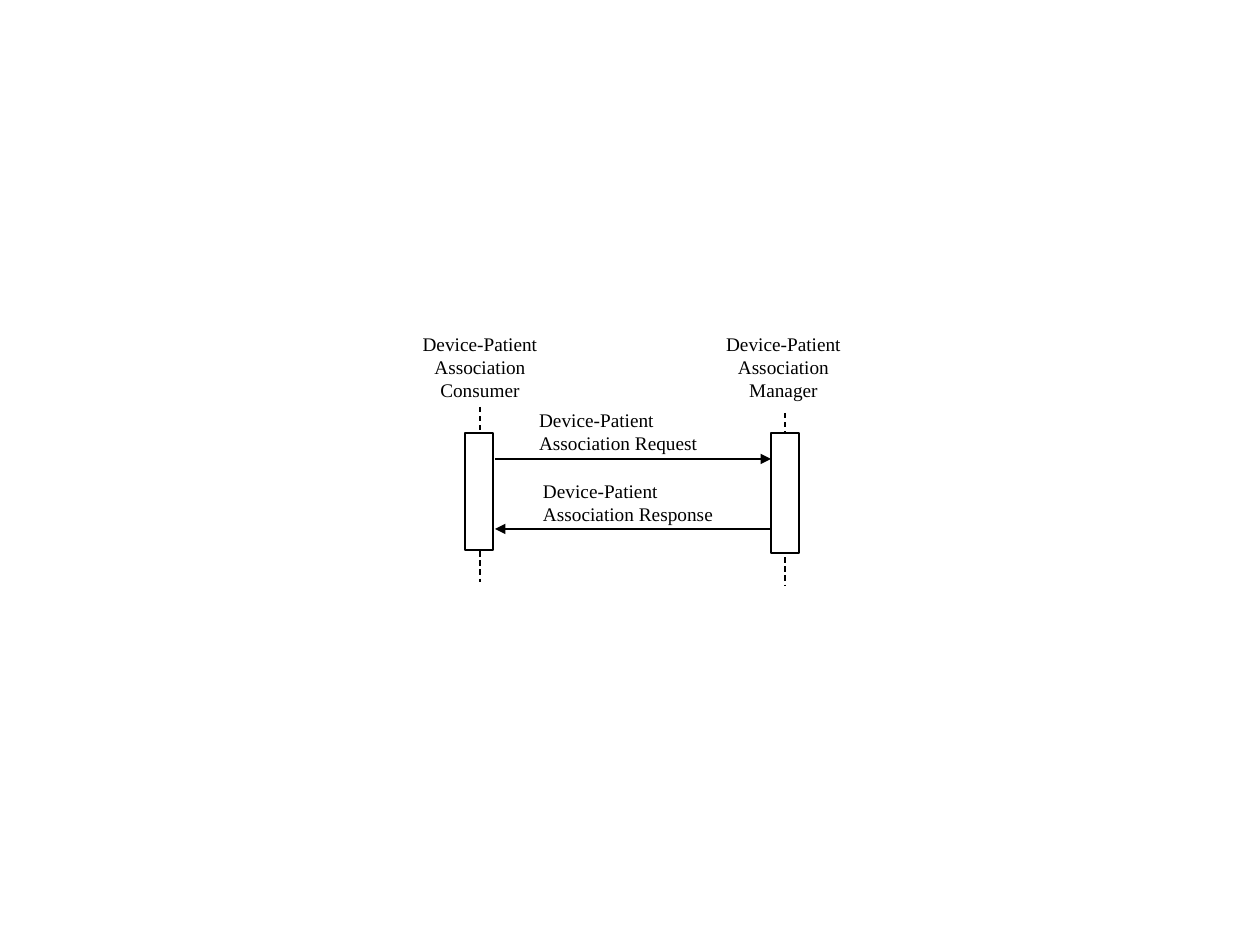
from typing import NamedTuple

from pptx import Presentation
from pptx.dml.color import RGBColor
from pptx.enum.dml import MSO_LINE_DASH_STYLE as Dash
from pptx.enum.shapes import MSO_CONNECTOR_TYPE as Connector, MSO_SHAPE as Shape
from pptx.enum.text import MSO_VERTICAL_ANCHOR as Anchor, PP_PARAGRAPH_ALIGNMENT as Align
from pptx.oxml.ns import qn
from pptx.util import Emu, Pt
from lxml.etree import SubElement

EMU_PER_PX = 914400 / 126
BLACK, WHITE = "000000", "FFFFFF"


class Box(NamedTuple):
    left: int
    top: int
    width: int
    height: int


class Actor(NamedTuple):
    name: str
    header: Box
    lifeline_x: int
    lifeline_top: int
    lifeline_bottom: int
    activation: Box


class Message(NamedTuple):
    label: str
    label_box: Box
    start_x: int
    end_x: int
    y: int


ACTORS = [
    Actor("Device-Patient Association Consumer", Box(403, 320, 154, 93),
          480, 407, 582, Box(465, 433, 28, 117)),
    Actor("Device-Patient Association Manager", Box(713, 320, 141, 93),
          785, 413, 586, Box(771, 433, 28, 120)),
]
MESSAGES = [
    Message("Device-Patient Association Request", Box(539, 408, 183, 66), 495, 771, 459),
    Message("Device-Patient Association Response", Box(543, 479, 184, 68), 771, 495, 529),
]


def px(length: int) -> Emu:
    return Emu(round(length * EMU_PER_PX))


def color(value: str) -> RGBColor:
    return RGBColor.from_string(value)


def write(shape, text: str, align: Align, **frame_format) -> None:
    frame = shape.text_frame
    for name, value in {"word_wrap": True, **frame_format}.items():
        setattr(frame, name, value)
    para = frame.paragraphs[0]
    para.alignment = align
    para.space_before = Pt(6)
    span = para.add_run()
    span.text = text
    for name, value in {"name": "Times New Roman", "size": Pt(11)}.items():
        setattr(span.font, name, value)
    span.font.color.rgb = color(BLACK)


def style_line(line) -> None:
    line.color.rgb = color(BLACK)
    line.width = Pt(0.75)


def add_rectangle(page, box: Box, outlined: bool):
    shape = page.shapes.add_shape(Shape.RECTANGLE, *map(px, box))
    shape.shadow.inherit = False
    shape.fill.solid()
    shape.fill.fore_color.rgb = color(WHITE)
    if outlined:
        style_line(shape.line)
    else:
        shape.line.fill.background()
    return shape


def add_line(page, x1: int, y1: int, x2: int, y2: int):
    line = page.shapes.add_connector(Connector.STRAIGHT, *map(px, (x1, y1, x2, y2)))
    style_line(line.line)
    SubElement(line._element.spPr, qn("a:effectLst"))
    return line


def draw_actor(page, actor: Actor) -> None:
    header = add_rectangle(page, actor.header, outlined=False)
    write(header, actor.name, Align.CENTER, vertical_anchor=Anchor.MIDDLE)
    lifeline = add_line(page, actor.lifeline_x, actor.lifeline_top,
                        actor.lifeline_x, actor.lifeline_bottom)
    lifeline.line.dash_style = Dash.DASH
    add_rectangle(page, actor.activation, outlined=True)


def draw_message(page, message: Message) -> None:
    arrow = add_line(page, message.start_x, message.y, message.end_x, message.y)
    SubElement(arrow.line._get_or_add_ln(), qn("a:tailEnd"), type="triangle")
    label = page.shapes.add_textbox(*map(px, message.label_box))
    write(label, message.label, Align.LEFT, margin_left=0, margin_top=0,
          margin_right=0, margin_bottom=0)


def main() -> None:
    deck = Presentation()
    deck.slide_width, deck.slide_height = px(1260), px(945)
    page = deck.slides.add_slide(deck.slide_layouts[6])
    for actor in ACTORS:
        draw_actor(page, actor)
    for message in MESSAGES:
        draw_message(page, message)
    deck.save("out.pptx")


if __name__ == "__main__":
    main()
